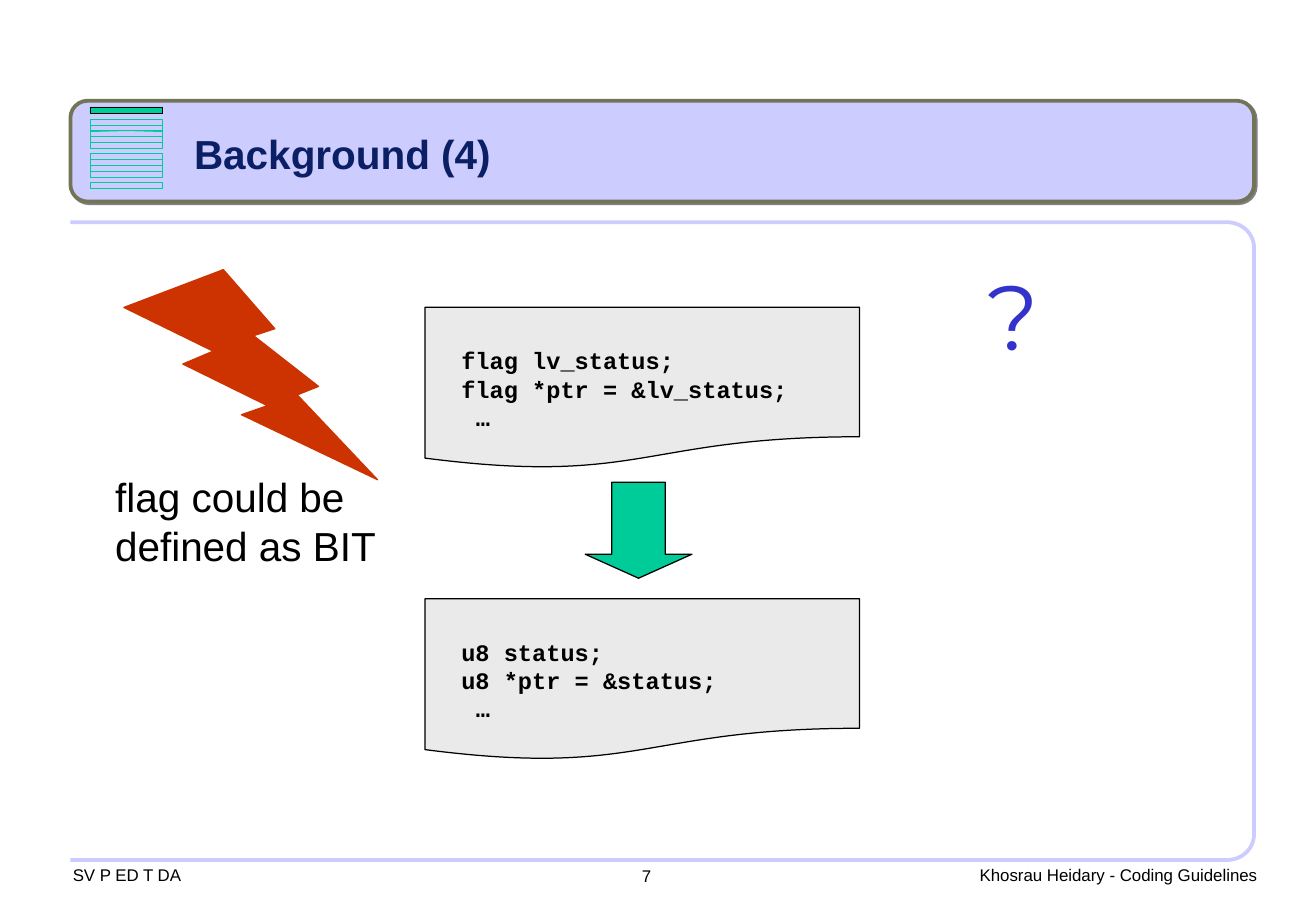
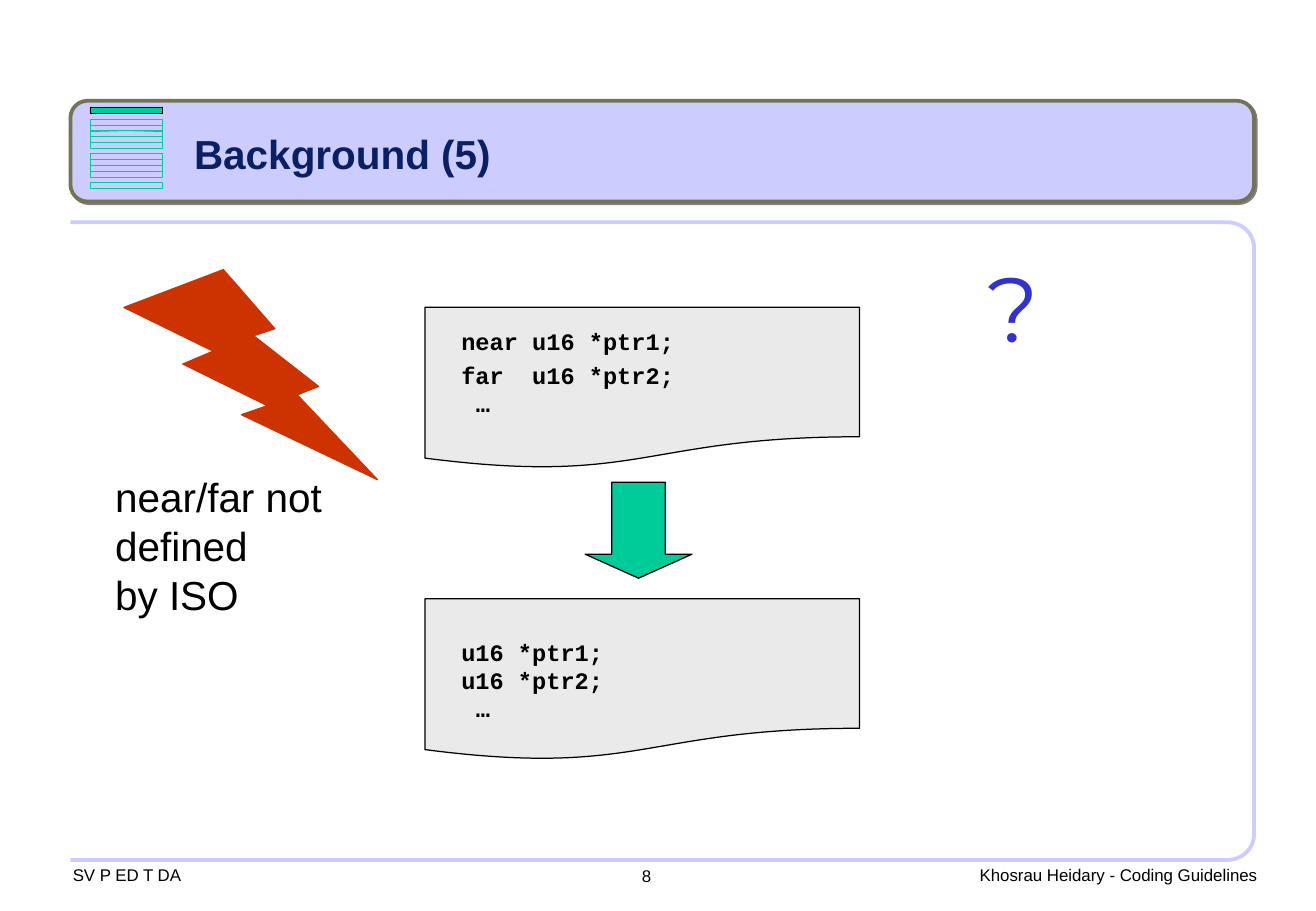
import math
import pptx
import pptx.util
import pptx.dml.color
import pptx.enum.shapes
import pptx.enum.text
import pptx.oxml
import pptx.oxml.ns

PAGES = [
    {"title": "Background (4)", "num": "7", "mark": 209,
     "note": ["flag could be", "defined as BIT"],
     "code": [
         (32, 0, ["flag lv_status;", "flag *ptr = &lv_status;", "…"]),
         (32, 0, ["u8 status;", "u8 *ptr = &status;", "…"])]},
    {"title": "Background (5)", "num": "8", "mark": 202,
     "note": ["near/far not", "defined", "by ISO"],
     "code": [
         (16, 3.5, ["near u16 *ptr1;", "far  u16 *ptr2;", "…"]),
         (32, 0, ["u16 *ptr1;", "u16 *ptr2;", "…"])]},
]
LEFT = "SV P ED T DA"
RIGHT = "Khosrau Heidary - Coding Guidelines"

THEME = {
    "band": "CCCCFF", "edge": "727357", "shade": "808080", "navy": "0A1F64",
    "green": "00CC99", "red": "CC3300", "paper": "EAEAEA", "ink": "000000",
    "mark": "B2B2B2", "rim": "3333CC",
    "foot": {"name": "Arial", "size": 10},
    "head": {"name": "Arial", "size": 24, "bold": True},
    "body": {"name": "Arial", "size": 24},
    "code": {"name": "Courier New", "size": 14, "bold": True},
    "sign": {"name": "Montserrat", "size": 54},
}
PX = 9144
LEAD = 1.2
BARS = [0, 1, 2, 3, 4, 6, 7, 8, 9, 11]
KIND = pptx.enum.shapes.MSO_SHAPE
ALIGN = pptx.enum.text.PP_ALIGN
NS = 'xmlns:a="http://schemas.openxmlformats.org/drawingml/2006/main"'


def px(num):
    return pptx.util.Emu(round(num * PX))


def tint(name):
    return pptx.dml.color.RGBColor.from_string(THEME[name])


def put(obj, vals):
    for key, val in vals.items():
        setattr(obj, key, val)


def paint(shape, fill, line, width):
    shape.shadow.inherit = False
    if fill:
        shape.fill.solid()
        shape.fill.fore_color.rgb = tint(fill)
    else:
        shape.fill.background()
    shape.line.color.rgb = tint(line)
    shape.line.width = pptx.util.Pt(width)
    return shape


def draw(slide, kind, box, fill, line, width=0.75):
    shape = slide.shapes.add_shape(kind, *map(px, box))
    return paint(shape, fill, line, width)


def write(shape, lines, style, ink, pad, lead=True):
    frame = shape.text_frame
    sides = ("margin_left", "margin_top", "margin_right", "margin_bottom")
    put(frame, dict(zip(sides, map(px, pad))))
    put(frame, {"word_wrap": True,
                "vertical_anchor": pptx.enum.text.MSO_ANCHOR.TOP})
    face = THEME[style]
    for pos, line in enumerate(lines):
        para = frame.add_paragraph() if pos else frame.paragraphs[0]
        para.alignment = ALIGN.LEFT
        if lead:
            para.line_spacing = pptx.util.Pt(face["size"] * LEAD)
        run = para.add_run()
        run.text = line
        put(run.font, {**face, "size": pptx.util.Pt(face["size"])})
        run.font.color.rgb = tint(ink)
    return frame.paragraphs


def label(slide, box, lines, style, ink="ink", pad=(10, 5, 10, 5), lead=True):
    shape = slide.shapes.add_textbox(*map(px, box))
    return write(shape, lines, style, ink, pad, lead)


def border(slide):
    left, top, right, low, wide, high = 58, 183, 1033, 708, 22, 21
    turns = [math.pi / 2 * step / 12 for step in range(13)]
    arc = [(right - wide * (1 - math.sin(turn)), high * (1 - math.cos(turn)))
           for turn in turns]
    dots = [(x, top + y) for x, y in arc]
    dots += [(x, low - y) for x, y in reversed(arc)] + [(left, low)]
    path = slide.shapes.build_freeform(px(left), px(top), scale=1.0)
    path.add_line_segments([(px(x), px(y)) for x, y in dots], close=False)
    paint(path.convert_to_shape(), None, "band", 2.25)


def shade(shape):
    glow = shape._element.spPr.find(pptx.oxml.ns.qn("a:effectLst"))
    glow.append(pptx.oxml.parse_xml(
        f'<a:outerShdw {NS} dist="17780" dir="2700000" algn="ctr" '
        f'rotWithShape="0"><a:srgbClr val="{THEME["shade"]}"/>'
        '</a:outerShdw>'))


def base(slide, num):
    flat = (0, 4, 0, 4)
    label(slide, (60, 708, 206, 25), [LEFT], "foot", pad=flat, lead=False)
    label(slide, (807, 708, 249, 25), [RIGHT], "foot", pad=flat, lead=False)
    label(slide, (519, 708, 83, 27), [num], "foot", lead=False)
    border(slide)
    band = draw(slide, KIND.ROUNDED_RECTANGLE, (58, 83, 975, 83),
                "band", "edge", 2.25)
    band.adjustments[0] = 0.17
    shade(band)
    for slot in BARS:
        draw(slide, KIND.RECTANGLE, (74, 98 + 4.73 * slot, 60, 5),
             None, "green", 0.25)
    draw(slide, KIND.RECTANGLE, (74, 88, 60, 5), "green", "ink", 0.25)


def sheet(slide, top, inset, gap, lines):
    page = draw(slide, KIND.FLOWCHART_DOCUMENT, (350, top, 358, 133),
                "paper", "ink")
    paras = write(page, lines, "code", "ink", (30, inset, 6, 0))
    paras[0].space_after = pptx.util.Pt(gap)
    paras[-1]._p.get_or_add_pPr().set("marL", str(px(12)))


def query(slide, top):
    para = label(slide, (775, top, 119, 158), ["?"], "sign", "mark",
                 lead=False)[0]
    para.alignment = ALIGN.CENTER
    props = para.runs[0]._r.rPr
    props.find(".//" + pptx.oxml.ns.qn("a:srgbClr")).append(
        pptx.oxml.parse_xml(f'<a:alpha {NS} val="50000"/>'))
    props.insert(0, pptx.oxml.parse_xml(
        f'<a:ln {NS} w="12700"><a:solidFill><a:srgbClr '
        f'val="{THEME["rim"]}"/></a:solidFill></a:ln>'))


def build(deck, page):
    slide = deck.slides.add_slide(deck.slide_layouts[6])
    base(slide, page["num"])
    for pos, part in enumerate(page["code"]):
        sheet(slide, 253 + 240 * pos, *part)
    query(slide, page["mark"])
    label(slide, (150, 101, 400, 50), [page["title"]], "head", "navy")
    arrow = draw(slide, KIND.DOWN_ARROW, (482, 397, 88, 79), "green", "ink")
    arrow.adjustments[0], arrow.adjustments[1] = 0.5, 0.25
    draw(slide, KIND.LIGHTNING_BOLT, (102, 222, 209, 173), "red", "red")
    label(slide, (85, 384, 250, 10 + 40 * len(page["note"])),
          page["note"], "body")


def main():
    deck = pptx.Presentation()
    put(deck, {"slide_width": px(1084), "slide_height": px(750)})
    for page in PAGES:
        build(deck, page)
    deck.save("out.pptx")


if __name__ == "__main__":
    main()
